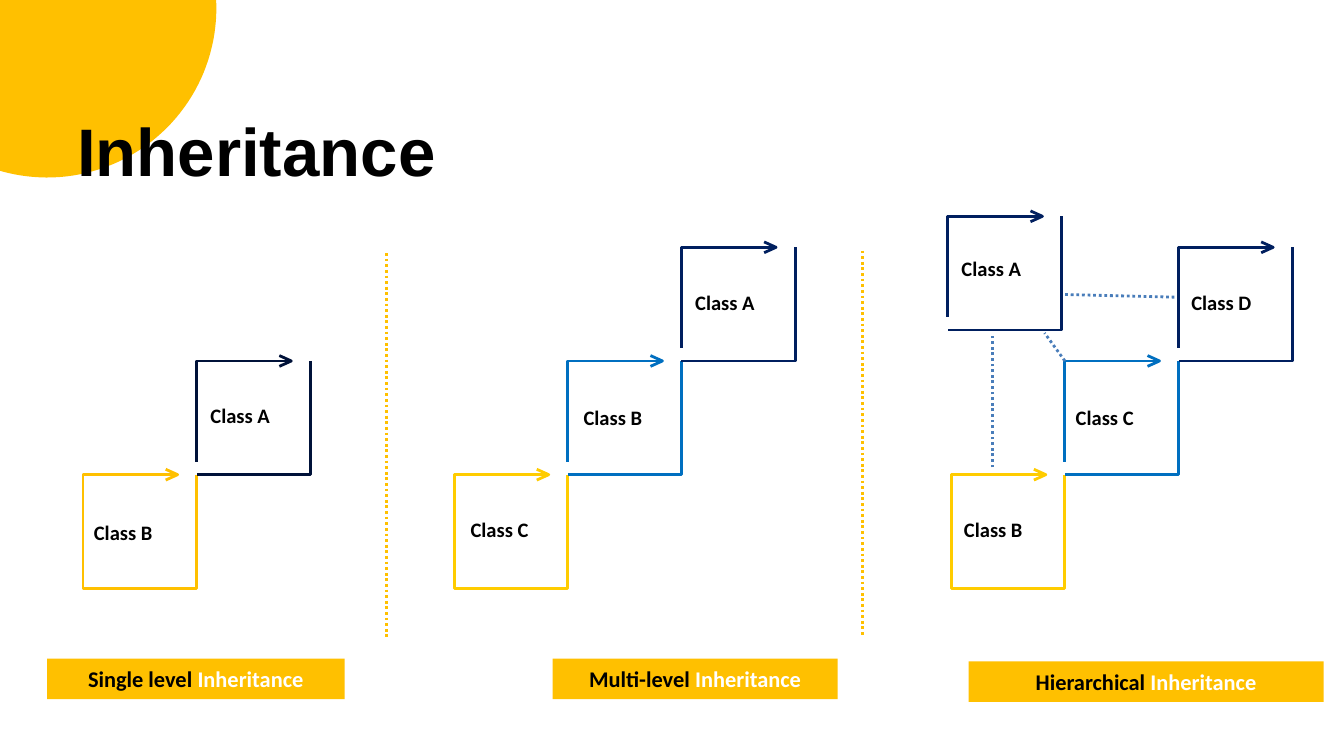
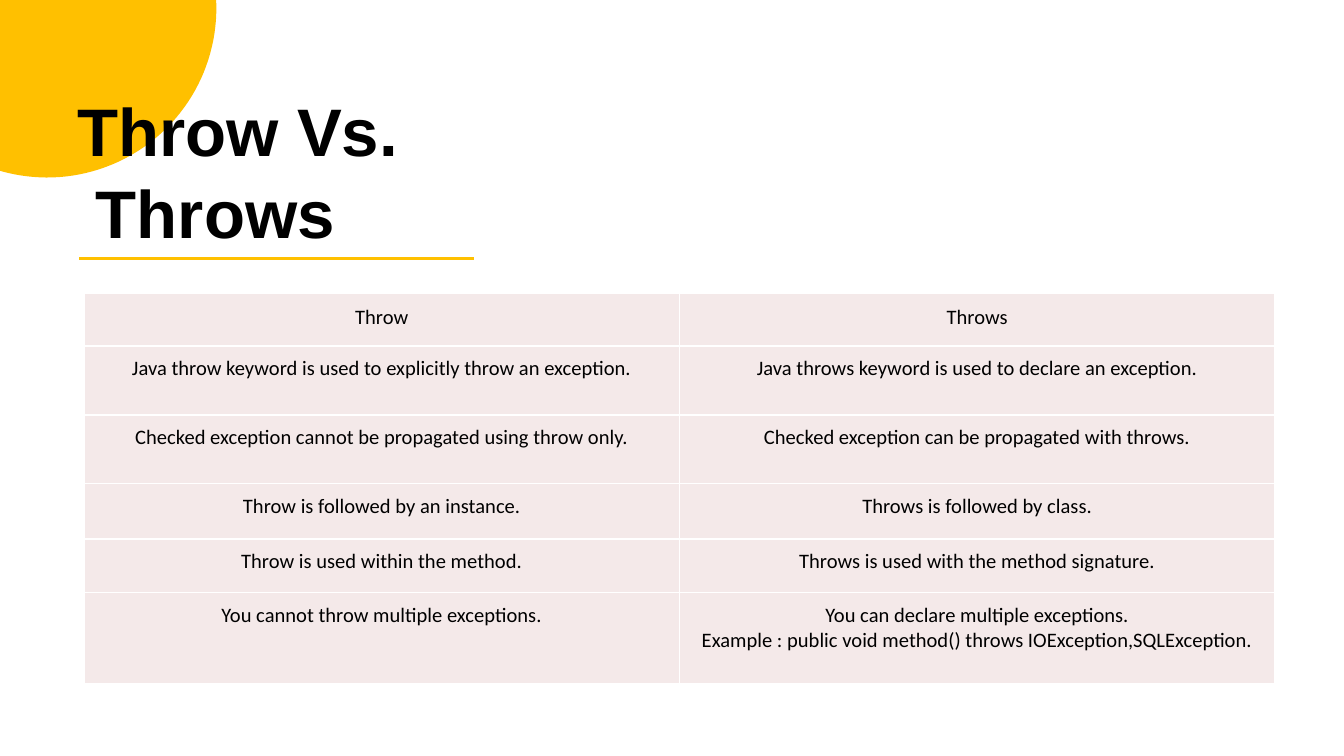
from dataclasses import dataclass
from math import asin, acos, cos, pi, sin

from lxml import etree
from pptx import Presentation
from pptx.dml.color import RGBColor
from pptx.enum.dml import MSO_LINE
from pptx.enum.shapes import MSO_CONNECTOR, MSO_SHAPE
from pptx.enum.text import MSO_ANCHOR, MSO_AUTO_SIZE, PP_ALIGN
from pptx.oxml.ns import qn
from pptx.util import Pt

STRAIGHT = MSO_CONNECTOR.STRAIGHT
RECTANGLE = MSO_SHAPE.RECTANGLE
DOTTED = MSO_LINE.ROUND_DOT
TOP, MIDDLE = MSO_ANCHOR.TOP, MSO_ANCHOR.MIDDLE
LEFT, CENTER = PP_ALIGN.LEFT, PP_ALIGN.CENTER
FIXED_SIZE = MSO_AUTO_SIZE.NONE
TITLE_ONLY = 5


@dataclass(frozen=True)
class Theme:
    """Colours, fonts and sizes shared by the slides."""
    amber: str = "FFC000"
    yellow: str = "FFCC00"
    blue: str = "006FC0"
    navy: str = "001F5F"
    midnight: str = "001239"
    steel: str = "497DBA"
    blush: str = "F4E9E9"
    black: str = "000000"
    white: str = "FFFFFF"
    heading_font: str = "Arial"
    body_font: str = "Calibri"
    title_size: float = 36
    title_leading: float = 43.8
    caption_size: float = 12
    body_size: float = 11
    line_width: float = 1.5
    border_width: float = 1


THEME = Theme()
SIDE = 60.9
STAIR_TOP = 254.3

STAIRS = [
    (44.5, [("Class B", THEME.amber, 5, 23), ("Class A", THEME.midnight, 6.5, 21.4)]),
    (243.3, [("Class C", THEME.yellow, 8, 21.5), ("Class B", THEME.blue, 7.6, 22.6),
             ("Class A", THEME.navy, 6.5, 21.6)]),
    (509.6, [("Class B", THEME.yellow, 6, 21.5), ("Class C", THEME.blue, 5, 22.6),
             ("Class D", THEME.navy, 6, 21.6)]),
]
CAPTIONS = [
    ("Single level ", 25.2, 352.8, 159.4),
    ("Multi-level ", 296.1, 352.8, 152.6),
    ("Hierarchical ", 518.9, 354.3, 190.2),
]
DIVIDERS = [(207.1, 135.6), (462.2, 134.3)]
DIVIDER_LENGTH = 206
HIERARCHY_LINKS = [
    ((531.8, 250.4), (531.8, 178.6)),
    ((570.5, 193.4), (559.6, 178.4)),
    ((629.2, 159.2), (570.4, 157.8)),
]
ROW_HEIGHTS = [28.5, 36.8, 36.8, 29.6, 28.8, 49]
COMPARISON = [
    ("Throw", "Throws"),
    ("Java throw keyword is used to explicitly throw an exception.",
     "Java throws keyword is used to declare an exception."),
    ("Checked exception cannot be propagated using throw only.",
     "Checked exception can be propagated with throws."),
    ("Throw is followed by an instance.", "Throws is followed by class."),
    ("Throw is used within the method.", "Throws is used with the method signature."),
    ("You cannot throw multiple exceptions.",
     "You can declare multiple exceptions.\n"
     "Example : public void method() throws IOException,SQLException."),
]


def rgb(color):
    """Turn a hex string into a colour."""
    return RGBColor.from_string(color)


def add_span(para, text, *, size=THEME.body_size, font=THEME.body_font,
             color=THEME.black, bold=False):
    """Add formatted text to a paragraph."""
    span = para.add_run()
    span.text = text
    span.font.size = Pt(size)
    span.font.name = font
    span.font.bold = bold
    span.font.color.rgb = rgb(color)


def prepare_frame(frame, top=0, anchor=TOP):
    """Set wrapping, margins and anchor of a text frame."""
    frame.word_wrap = True
    frame.auto_size = FIXED_SIZE
    frame.vertical_anchor = anchor
    frame.margin_left = frame.margin_right = frame.margin_bottom = 0
    frame.margin_top = Pt(top)


def add_outline(slide, paths, *, fill=None, line=None, closed=False):
    """Draw one freeform made of several paths of points."""
    start, *_ = paths[0]
    builder = slide.shapes.build_freeform(Pt(start[0]), Pt(start[1]), scale=1.0)
    for index, points in enumerate(paths):
        corners = [(Pt(x), Pt(y)) for x, y in points]
        if index:
            builder.move_to(*corners[0])
        builder.add_line_segments(corners[1:], close=closed)
    outline = builder.convert_to_shape()
    outline.shadow.inherit = False
    if fill:
        outline.fill.solid()
        outline.fill.fore_color.rgb = rgb(fill)
    else:
        outline.fill.background()
    if line:
        outline.line.color.rgb = rgb(line)
        outline.line.width = Pt(THEME.line_width)
    else:
        outline.line.fill.background()
    return outline


def add_line(slide, start, end, color, dash=None):
    """Draw a straight line between two points."""
    line = slide.shapes.add_connector(STRAIGHT, *(Pt(v) for v in (*start, *end)))
    line.line.color.rgb = rgb(color)
    line.line.width = Pt(THEME.line_width)
    if dash:
        line.line.dash_style = dash
    etree.SubElement(line.element.spPr, qn("a:effectLst"))


def add_corner_disc(slide):
    """Draw the part of a disc that shows in the top left corner."""
    x, y, radius, steps = 25.2, 4.4, 90.7, 48
    first, last = -asin(y / radius), pi - acos(x / radius)
    angles = [first + (last - first) * step / steps for step in range(steps + 1)]
    arc = [(x + radius * cos(a), y + radius * sin(a)) for a in angles]
    disc = add_outline(slide, [[(0, 0), *arc]], fill=THEME.amber, closed=True)
    slide.shapes.element.insert(2, disc.element)


def start_slide(deck, title, top, width, height, hanging=0):
    """Add a slide with the corner disc and a placed title."""
    slide = deck.slides.add_slide(deck.slide_layouts[TITLE_ONLY])
    add_corner_disc(slide)
    box = slide.shapes.title
    box.left, box.top, box.width, box.height = (Pt(v) for v in (40.4, top, width, height))
    prepare_frame(box.text_frame, top=2)
    para = box.text_frame.paragraphs[0]
    para.alignment = LEFT
    para.line_spacing = Pt(THEME.title_leading)
    properties = para._p.get_or_add_pPr()
    properties.set("marL", str(Pt(1 + hanging)))
    properties.set("indent", str(-Pt(hanging)))
    add_span(para, title, size=THEME.title_size, font=THEME.heading_font, bold=True)
    return slide


def add_class_box(slide, label, left, top, color, label_dx, label_dy, closed=False):
    """Draw a square with an arrow along its top, and its label."""
    right, bottom, tip = left + SIDE, top + SIDE, left + 50.7
    head = [(tip - 6.4, top - 2.9), (tip, top), (tip - 6.4, top + 2.9)]
    if closed:
        paths = [[(right, top), (right, bottom), (left, bottom), (left, top), (tip, top)], head]
    else:
        paths = [[(left, bottom - 7), (left, top), (tip, top)], head,
                 [(right, top), (right, bottom), (left, bottom)]]
    add_outline(slide, paths, line=color)
    box = slide.shapes.add_textbox(Pt(left + label_dx), Pt(top + label_dy), Pt(34.5), Pt(15))
    prepare_frame(box.text_frame, top=1)
    box.text_frame.margin_left = Pt(0.8)
    add_span(box.text_frame.paragraphs[0], label, bold=True)


def add_caption(slide, kind, left, top, width):
    """Add an amber caption in two colours."""
    box = slide.shapes.add_shape(RECTANGLE, Pt(left), Pt(top), Pt(width), Pt(21.8))
    box.shadow.inherit = False
    box.fill.solid()
    box.fill.fore_color.rgb = rgb(THEME.amber)
    box.line.fill.background()
    prepare_frame(box.text_frame, anchor=MIDDLE)
    para = box.text_frame.paragraphs[0]
    para.alignment = CENTER
    for text, color in ((kind, THEME.black), ("Inheritance", THEME.white)):
        add_span(para, text, size=THEME.caption_size, color=color, bold=True)


def format_cell(cell, text, top):
    """Fill a table cell, give it borders and write its text."""
    properties = cell._tc.get_or_add_tcPr()
    for side in ("a:lnL", "a:lnR", "a:lnT", "a:lnB"):
        border = etree.SubElement(properties, qn(side), w=str(Pt(THEME.border_width)))
        fill = etree.SubElement(border, qn("a:solidFill"))
        etree.SubElement(fill, qn("a:srgbClr"), val=THEME.white)
    cell.fill.solid()
    cell.fill.fore_color.rgb = rgb(THEME.blush)
    cell.margin_left = cell.margin_right = cell.margin_bottom = 0
    cell.margin_top = Pt(top)
    cell.vertical_anchor = TOP
    for index, line in enumerate(text.split("\n")):
        para = cell.text_frame.add_paragraph() if index else cell.text_frame.paragraphs[0]
        para.alignment = CENTER
        add_span(para, line)


def add_comparison(slide):
    """Add the two-column comparison table."""
    frame = slide.shapes.add_table(len(COMPARISON), 2, Pt(45), Pt(157),
                                   Pt(638), Pt(sum(ROW_HEIGHTS)))
    table = frame.table
    table.first_row = table.horz_banding = False
    for row, height, texts in zip(table.rows, ROW_HEIGHTS, COMPARISON):
        row.height = Pt(height)
        top = 6.5 if texts is COMPARISON[0] else 5.3
        for cell, text in zip(row.cells, texts):
            format_cell(cell, text, top)


def build_inheritance(deck):
    """Build the slide on kinds of inheritance."""
    slide = start_slide(deck, "Inheritance", 56.2, 194, 45.4)
    for caption in CAPTIONS:
        add_caption(slide, *caption)
    for x, top in DIVIDERS:
        add_line(slide, (x, top), (x, top + DIVIDER_LENGTH), THEME.amber, DOTTED)
    for left, classes in STAIRS:
        for step, (label, color, dx, dy) in enumerate(classes):
            add_class_box(slide, label, left + step * SIDE, STAIR_TOP - step * SIDE,
                          color, dx, dy, closed=step == 0)
    for start, end in HIERARCHY_LINKS:
        add_line(slide, start, end, THEME.steel, DOTTED)
    add_class_box(slide, "Class A", 507.8, 115.9, THEME.navy, 6.5, 20.4)


def build_throw_comparison(deck):
    """Build the slide that compares throw and throws."""
    slide = start_slide(deck, "Throw Vs. Throws", 45.4, 178, 88.6, hanging=10)
    add_line(slide, (42.5, 138.4), (253.7, 138.4), THEME.amber)
    add_comparison(slide)


def main():
    """Build and save the deck."""
    deck = Presentation()
    deck.slide_width, deck.slide_height = Pt(720), Pt(405)
    build_inheritance(deck)
    build_throw_comparison(deck)
    deck.save("out.pptx")


if __name__ == "__main__":
    main()
